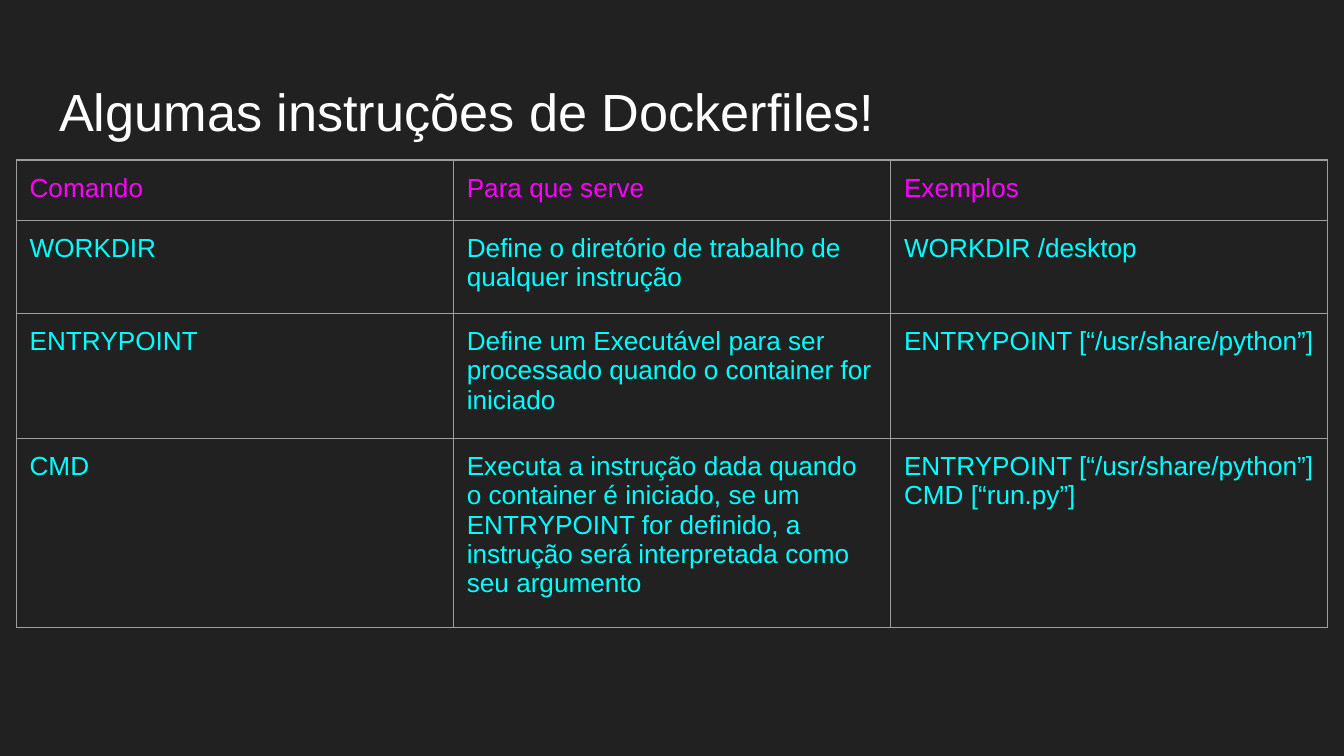
"""Build a slide with a table of Dockerfile instructions."""
from dataclasses import dataclass

from lxml import etree
from pptx import Presentation
from pptx.dml.color import RGBColor
from pptx.enum.text import MSO_ANCHOR, PP_ALIGN
from pptx.oxml.ns import qn
from pptx.util import Inches, Pt

TOP = MSO_ANCHOR.TOP
LEFT = PP_ALIGN.LEFT


@dataclass(frozen=True)
class Theme:
    font: str = "Arial"
    background: str = "212121"
    title: str = "FFFFFF"
    heading: str = "FF00FF"
    body: str = "00FFFF"
    border: str = "9E9E9E"
    title_size: int = 28
    table_size: int = 14
    border_width: float = 0.75


theme = Theme()
MARGIN = Inches(0.1)
TABLE_WIDTH = Inches(9.76)
ROW_HEIGHTS = [0.45, 0.69, 0.93, 1.41]
ROWS = [
    ["Comando", "Para que serve", "Exemplos"],
    ["WORKDIR", "Define o diretório de trabalho de qualquer instrução", "WORKDIR /desktop"],
    [
        "ENTRYPOINT",
        "Define um Executável para ser processado quando o container for iniciado",
        "ENTRYPOINT [“/usr/share/python”]",
    ],
    [
        "CMD",
        "Executa a instrução dada quando o container é iniciado, se um ENTRYPOINT "
        "for definido, a instrução será interpretada como seu argumento",
        "ENTRYPOINT [“/usr/share/python”]\nCMD [“run.py”]",
    ],
]


def format_text(frame, size, color):
    for paragraph in frame.paragraphs:
        paragraph.alignment = LEFT
        for span in paragraph.runs:
            span.font.name = theme.font
            span.font.size = Pt(size)
            span.font.bold = False
            span.font.color.rgb = RGBColor.from_string(color)


def add_borders(cell):
    properties = cell._tc.get_or_add_tcPr()
    for position, side in enumerate(["lnL", "lnR", "lnT", "lnB"]):
        line = etree.Element(qn(f"a:{side}"), w=str(Pt(theme.border_width)))
        fill = etree.SubElement(line, qn("a:solidFill"))
        etree.SubElement(fill, qn("a:srgbClr"), val=theme.border)
        properties.insert(position, line)


deck = Presentation()
deck.slide_width = Inches(10)
deck.slide_height = deck.slide_width * 9 // 16
page = deck.slides.add_slide(deck.slide_layouts[5])
page.background.fill.solid()
page.background.fill.fore_color.rgb = RGBColor.from_string(theme.background)

title = page.shapes.title
title.left, title.top = Inches(0.34), Inches(0.49)
title.width, title.height = Inches(9.32), Inches(0.63)
frame = title.text_frame
frame.text = "Algumas instruções de Dockerfiles!"
frame.vertical_anchor = TOP
frame.margin_left = frame.margin_right = MARGIN
frame.margin_top = frame.margin_bottom = MARGIN
format_text(frame, theme.title_size, theme.title)

table = page.shapes.add_table(
    len(ROWS), len(ROWS[0]), Inches(0.12), Inches(1.19),
    TABLE_WIDTH, Inches(sum(ROW_HEIGHTS)),
).table
table.first_row = False
table.horz_banding = False

for row_index, (texts, height) in enumerate(zip(ROWS, ROW_HEIGHTS)):
    table.rows[row_index].height = Inches(height)
    color = theme.body if row_index else theme.heading
    for column_index, text in enumerate(texts):
        cell = table.cell(row_index, column_index)
        cell.text_frame.text = text
        cell.vertical_anchor = TOP
        cell.margin_left = cell.margin_right = MARGIN
        cell.margin_top = cell.margin_bottom = MARGIN
        cell.fill.background()
        format_text(cell.text_frame, theme.table_size, color)
        add_borders(cell)

deck.save("out.pptx")
